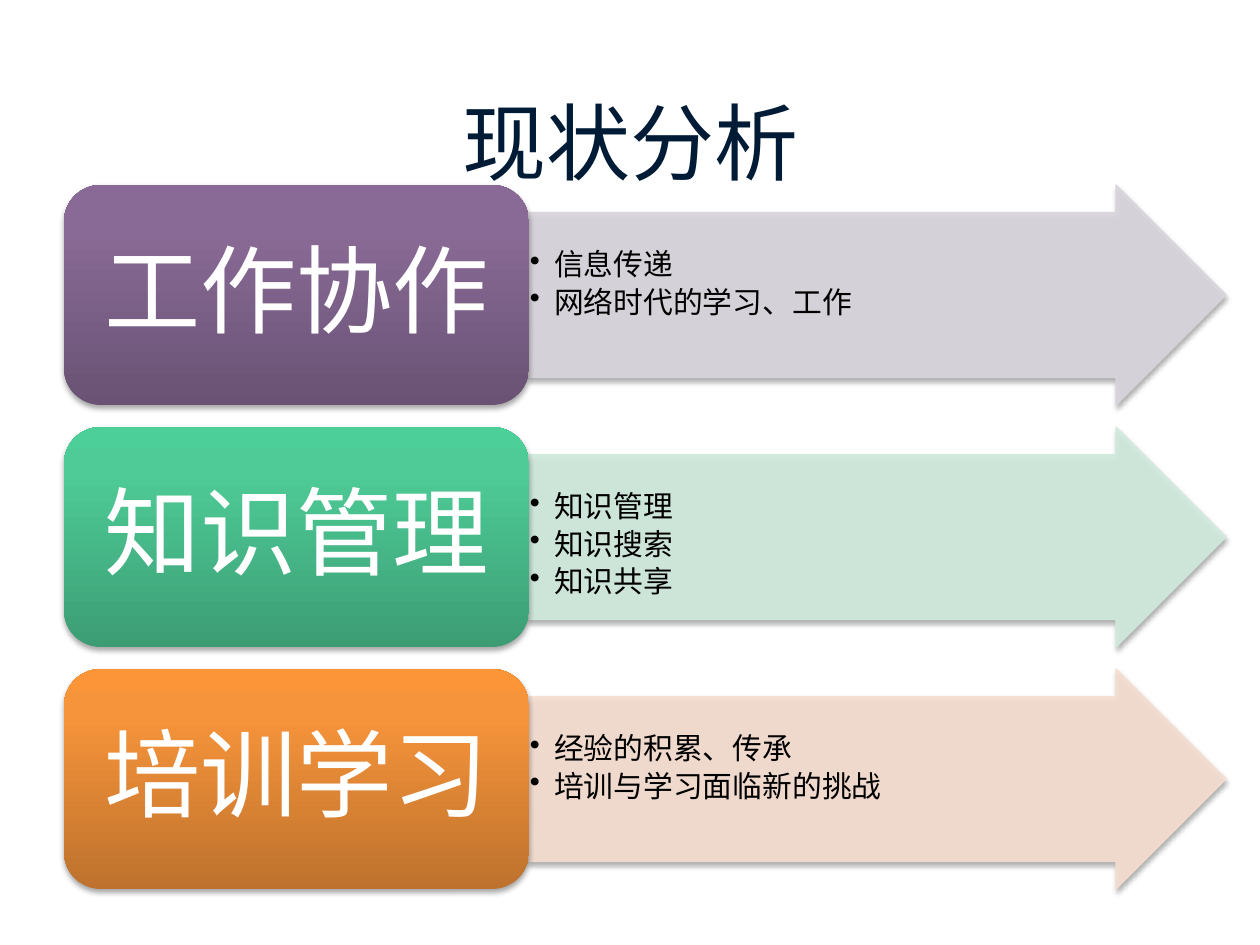
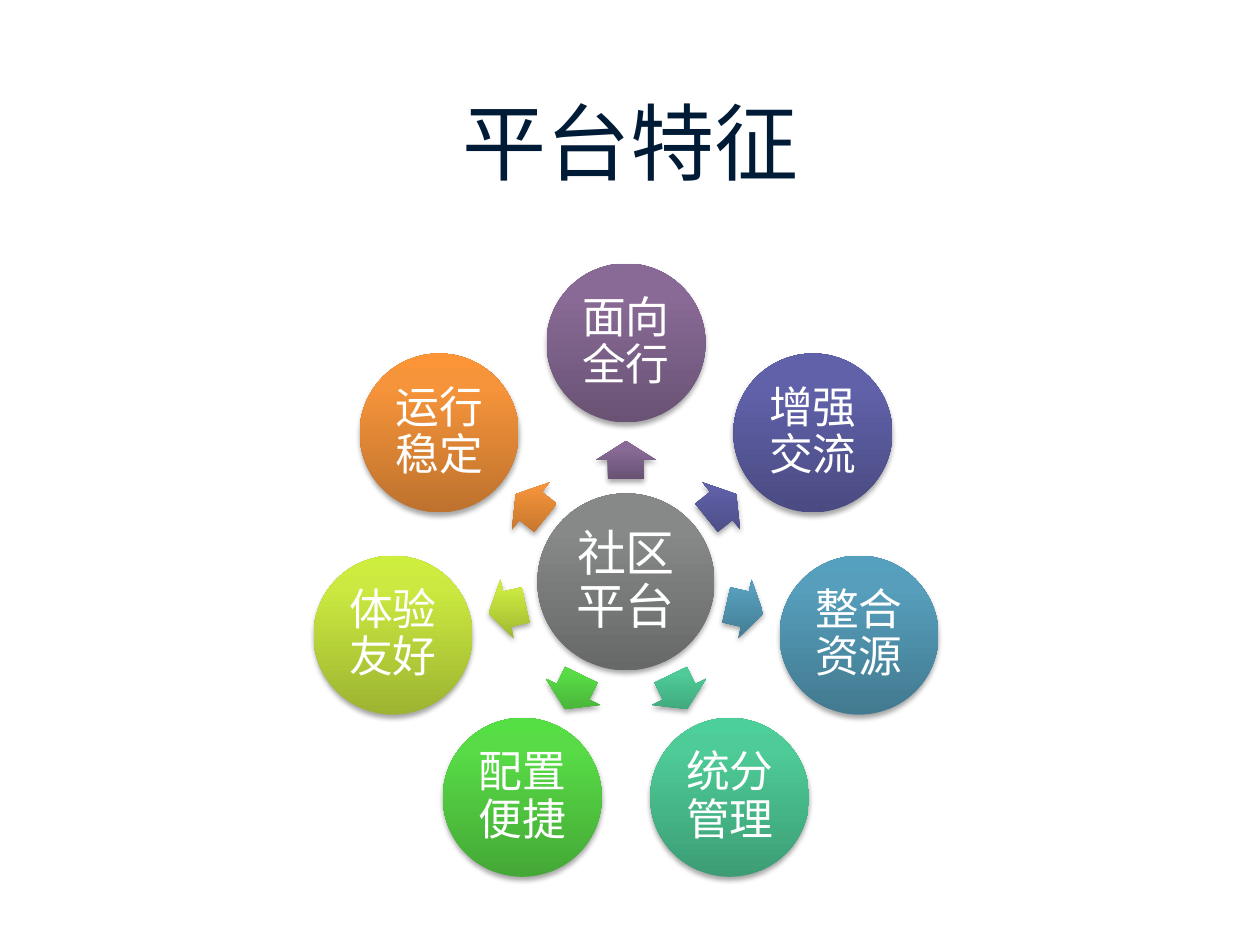
from math import cos, radians, sin
from lxml import etree
from pptx import Presentation, util as u
from pptx.dml.color import RGBColor
from pptx.enum import shapes, text
from pptx.oxml import parse_xml
from pptx.oxml.ns import qn

SCALE = 914400 / 126
NS = 'xmlns:a="http://schemas.openxmlformats.org/drawingml/2006/main"'
LATIN = "Arial"
HAN = "Noto Sans CJK SC"


def hue(code):
    return RGBColor.from_string(code)


NAVY = hue("001B36")
WHITE = hue("FFFFFF")
BLACK = hue("000000")
MAUVE = hue("DAD5DD")
MINT = hue("D1EBDE")
PEACH = hue("F6DED1")
GREY = (hue("676968"), hue("868988"), hue("878A88"))
PLUM = (hue("695274"), hue("896A96"), hue("8A6A98"))
BLUE = (hue("4A4B82"), hue("6061A9"), hue("5F60AB"))
TEAL = (hue("427A90"), hue("569EBB"), hue("55A0BE"))
JADE = (hue("3C9D74"), hue("4ECB97"), hue("4CCF98"))
GREEN = (hue("44A836"), hue("58DB46"), hue("56DF44"))
LIME = (hue("9CB431"), hue("CBE940"), hue("CEEE3D"))
AMBER = (hue("BE722D"), hue("F6943B"), hue("FB9537"))


def px(num):
    return u.Emu(round(num * SCALE))


class Deck:
    def __init__(self):
        self.file = Presentation()
        self.file.slide_width = px(1260)
        self.file.slide_height = px(945)
        self.slide = None

    def page(self, title):
        self.slide = self.file.slides.add_slide(self.file.slide_layouts[6])
        frame = self.box(64, 86, 1134, 110, 6)
        frame.vertical_anchor = text.MSO_ANCHOR.MIDDLE
        par = frame.paragraphs[0]
        par.alignment = text.PP_ALIGN.CENTER
        self.run(par, title, 48, NAVY, LATIN)

    def run(self, par, words, size, color, face=HAN):
        run = par.add_run()
        run.text = words
        run.font.size = u.Pt(size)
        run.font.name = face
        run.font.color.rgb = color
        east = etree.SubElement(run.font._element, qn("a:ea"))
        east.set("typeface", HAN)

    def pad(self, frame, side, top):
        frame.word_wrap = True
        frame.margin_left = frame.margin_right = px(side)
        frame.margin_top = frame.margin_bottom = px(top)

    def box(self, left, top, wide, high, inset):
        area = map(px, (left, top, wide, high))
        frame = self.slide.shapes.add_textbox(*area).text_frame
        self.pad(frame, inset, inset)
        return frame

    def shape(self, kind, left, top, wide, high, turn=0, adjust=()):
        item = self.slide.shapes.add_shape(
            kind, *map(px, (left, top, wide, high)))
        item.rotation = turn
        for spot, value in enumerate(adjust):
            item.adjustments[spot] = value
        item.line.fill.background()
        item._element.spPr.append(parse_xml(
            f'<a:effectLst {NS}><a:outerShdw blurRad="39370" dist="22860" '
            'dir="5400000" rotWithShape="0"><a:srgbClr val="000000">'
            '<a:alpha val="35000"/></a:srgbClr></a:outerShdw></a:effectLst>'))
        return item

    def shade(self, item, tones):
        stops = "".join(
            f'<a:gs pos="{pos}"><a:srgbClr val="{tone}"/></a:gs>'
            for pos, tone in zip((0, 80000, 100000), tones))
        item._element.spPr.find(qn("a:prstGeom")).addnext(parse_xml(
            f'<a:gradFill {NS} rotWithShape="0"><a:gsLst>{stops}</a:gsLst>'
            '<a:lin ang="16200000" scaled="0"/></a:gradFill>'))

    def label(self, item, words, size, side, top):
        frame = item.text_frame
        self.pad(frame, side, top)
        frame.vertical_anchor = text.MSO_ANCHOR.MIDDLE
        par = frame.paragraphs[0]
        par.alignment = text.PP_ALIGN.CENTER
        par.line_spacing = 0.9
        self.run(par, words, size, WHITE)

    def card(self, left, top, wide, high, words, tones):
        item = self.shape(shapes.MSO_SHAPE.ROUNDED_RECTANGLE,
                          left, top, wide, high)
        self.shade(item, tones)
        self.label(item, words, 55, 28, 14)

    def disc(self, mid, row, size, words, points, tones):
        item = self.shape(shapes.MSO_SHAPE.OVAL, mid - size / 2,
                          row - size / 2, size, size)
        self.shade(item, tones)
        self.label(item, words, points, 4, 4)

    def spoke(self, mid, row, wide, high, turn, tones):
        item = self.shape(shapes.MSO_SHAPE.RIGHT_ARROW, mid - wide / 2,
                          row - high / 2, wide, high, turn, (0.6, 0.5))
        self.shade(item, tones)

    def arrow(self, left, top, wide, high, color):
        item = self.shape(shapes.MSO_SHAPE.RIGHT_ARROW, left, top,
                          wide, high, adjust=(0.75, 0.5))
        item.fill.solid()
        item.fill.fore_color.rgb = color
        item.line.color.rgb = color
        item.line.width = u.Pt(0.75)
        for fill in item._element.spPr.iter(qn("a:solidFill")):
            etree.SubElement(fill[0], qn("a:alpha")).set("val", "90000")

    def list(self, left, top, wide, high, lines):
        frame = self.box(left, top, wide, high, 1)
        for spot, words in enumerate(lines):
            par = frame.add_paragraph() if spot else frame.paragraphs[0]
            par.line_spacing = 0.9
            par.space_after = u.Pt(3)
            props = par._p.get_or_add_pPr()
            props.set("marL", str(px(24)))
            props.set("indent", str(-px(24)))
            etree.SubElement(props, qn("a:buChar")).set("char", "•")
            self.run(par, words, 17, BLACK)


def status(deck):
    deck.page("现状分析")
    rows = (
        ("工作协作", PLUM, MAUVE, ("信息传递", "网络时代的学习、工作")),
        ("知识管理", JADE, MINT, ("知识管理", "知识搜索", "知识共享")),
        ("培训学习", AMBER, PEACH, ("经验的积累、传承", "培训与学习面临新的挑战")),
    )
    for spot, (name, tones, pale, lines) in enumerate(rows):
        top = 185 + 242 * spot
        deck.arrow(529, top, 697, 220, pale)
        deck.list(529, top + 64, 614, 128, lines)
        deck.card(64, top, 465, 220, name, tones)


def traits(deck):
    deck.page("平台特征")
    mid, row = 626, 582
    deck.disc(mid, row, 177, "社区平台", 28, GREY)
    nodes = (("面向全行", PLUM), ("增强交流", BLUE), ("整合资源", TEAL),
             ("统分管理", JADE), ("配置便捷", GREEN), ("体验友好", LIME),
             ("运行稳定", AMBER))
    for spot, (name, tones) in enumerate(nodes):
        turn = 360 * spot / len(nodes) - 90
        across, down = cos(radians(turn)), sin(radians(turn))
        deck.spoke(mid + 122 * across, row + 122 * down, 38, 60,
                   turn % 360, tones)
        deck.disc(mid + 239 * across, row + 239 * down, 159, name, 25, tones)


def main():
    deck = Deck()
    status(deck)
    traits(deck)
    deck.file.save("out.pptx")


if __name__ == "__main__":
    main()
